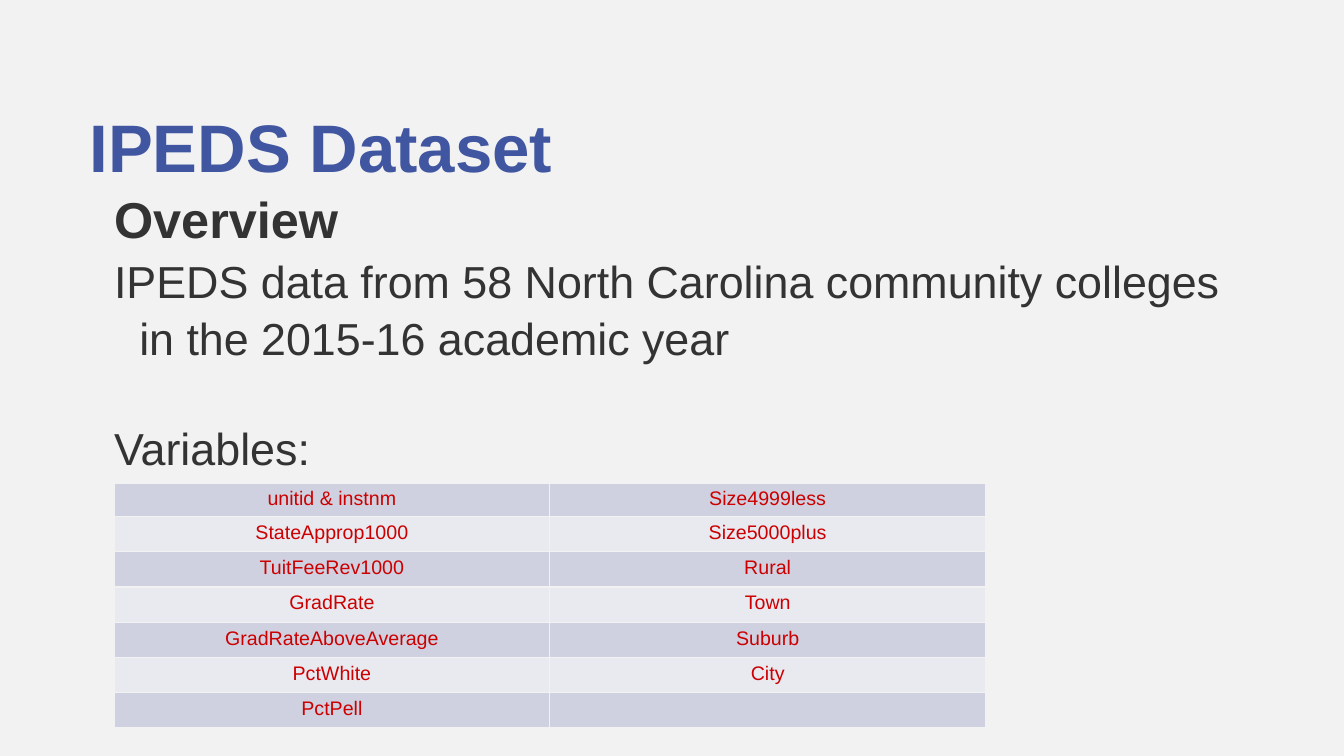
from lxml import etree
from pptx import Presentation
from pptx.dml.color import RGBColor
from pptx.enum import text
from pptx.oxml import ns
from pptx.util import Pt

FONT = "Arial"
BACKGROUND = "F2F2F2"
TITLE_BLUE = "4156A1"
BODY_GREY = "333333"
VARIABLE_RED = "CC0000"
BANDS = ["CFD1E0", "E9E9F0"]
VARIABLES = [
    ("unitid & instnm", "Size4999less"),
    ("StateApprop1000", "Size5000plus"),
    ("TuitFeeRev1000", "Rural"),
    ("GradRate", "Town"),
    ("GradRateAboveAverage", "Suburb"),
    ("PctWhite", "City"),
    ("PctPell", ""),
]


def color(value):
    return RGBColor.from_string(value)


def style(paragraph, size, hue, bold=False):
    paragraph.font.name = FONT
    paragraph.font.size = Pt(size)
    paragraph.font.bold = bold
    paragraph.font.color.rgb = color(hue)


def add_copy(slide, box, lines, size, hue, bold=False, hanging=True,
             spacing=1.05, gap=0, anchor=text.MSO_ANCHOR.TOP):
    frame = slide.shapes.add_textbox(*map(Pt, box)).text_frame
    frame.word_wrap = True
    frame.vertical_anchor = anchor
    frame.margin_left = frame.margin_right = 0
    frame.margin_top = frame.margin_bottom = 0
    frame.text = "\n".join(lines)
    for index, paragraph in enumerate(frame.paragraphs):
        paragraph.line_spacing = spacing
        if index:
            paragraph.space_before = Pt(gap)
        if hanging:
            properties = paragraph._p.get_or_add_pPr()
            properties.set("marL", str(Pt(36)))
            properties.set("indent", str(Pt(-18)))
        style(paragraph, size, hue, bold)


def add_borders(cell, hue, width):
    properties = cell._tc.get_or_add_tcPr()
    for position, side in enumerate(("lnL", "lnR", "lnT", "lnB")):
        line = etree.Element(ns.qn(f"a:{side}"), w=str(Pt(width)))
        fill = etree.SubElement(line, ns.qn("a:solidFill"))
        etree.SubElement(fill, ns.qn("a:srgbClr"), val=hue)
        properties.insert(position, line)


def add_variables(slide, box):
    left, top, width, height = box
    header_height = 23
    row_height = (height - header_height) / (len(VARIABLES) - 1)
    variables = slide.shapes.add_table(
        len(VARIABLES), 2, Pt(left), Pt(top), Pt(width), Pt(height)).table
    for column in variables.columns:
        column.width = Pt(width / 2)
    for index, names in enumerate(VARIABLES):
        variables.rows[index].height = Pt(row_height if index else header_height)
        for column, name in enumerate(names):
            cell = variables.cell(index, column)
            cell.text = name
            cell.fill.solid()
            cell.fill.fore_color.rgb = color(BANDS[index % 2])
            paragraph = cell.text_frame.paragraphs[0]
            paragraph.alignment = text.PP_ALIGN.CENTER
            style(paragraph, 14, VARIABLE_RED)
            add_borders(cell, BACKGROUND, 1)


def build_dataset_slide(deck):
    slide = deck.slides.add_slide(deck.slide_layouts[6])
    slide.background.fill.solid()
    slide.background.fill.fore_color.rgb = color(BACKGROUND)
    add_copy(slide, (64, 70, 828, 62), ["IPEDS Dataset"], 48, TITLE_BLUE,
             bold=True, hanging=False, spacing=1.1,
             anchor=text.MSO_ANCHOR.MIDDLE)
    add_copy(slide, (63.5, 132, 828, 38), ["Overview"], 36, BODY_GREY, bold=True)
    add_copy(slide, (63.5, 179.5, 828, 282),
             ["IPEDS data from 58 North Carolina community colleges "
              "in the 2015-16 academic year", "Variables:"],
             32, BODY_GREY, gap=38.6)
    add_variables(slide, (81.5, 345, 622.5, 174))


def main():
    deck = Presentation()
    deck.slide_width = Pt(960)
    deck.slide_height = Pt(540)
    build_dataset_slide(deck)
    deck.save("out.pptx")


if __name__ == "__main__":
    main()
